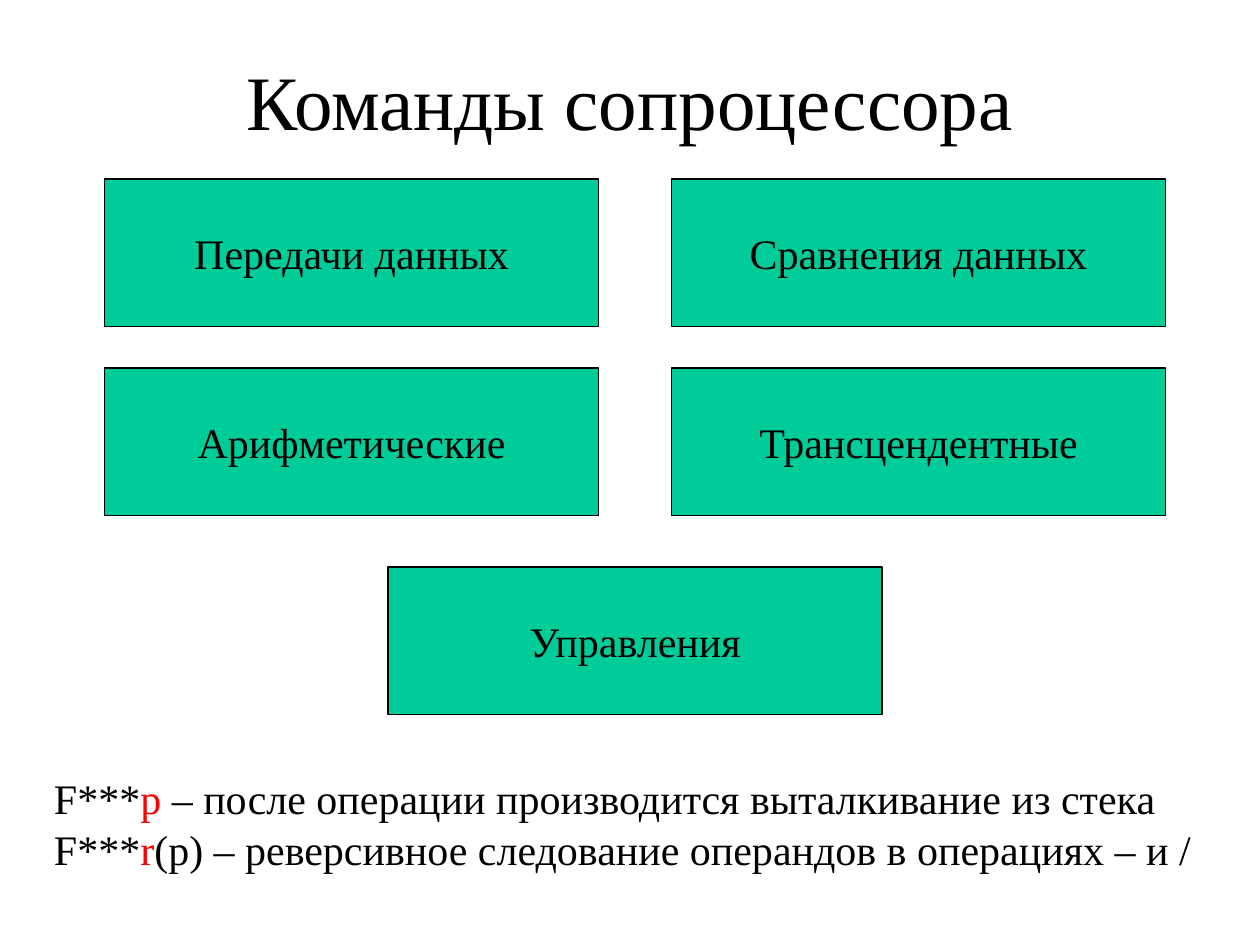
from dataclasses import dataclass
from pptx import Presentation
from pptx.dml.color import RGBColor as RGB
from pptx.enum.shapes import MSO_SHAPE
from pptx.enum.text import MSO_ANCHOR as Anchor, PP_ALIGN as Align
from pptx.util import Inches, Pt


@dataclass(frozen=True)
class Theme:
    font: str = "Times New Roman"
    ink: RGB = RGB(0, 0, 0)
    accent: RGB = RGB(0xFF, 0, 0)
    fill: RGB = RGB(0, 0xCC, 0x99)
    title_size: int = 44
    body_size: int = 24
    note_leading: int = 29


THEME = Theme()


def style(r, size, color=THEME.ink):
    r.font.name = THEME.font
    r.font.size = Pt(size)
    r.font.color.rgb = color


def centre(tf, text, size):
    tf.text = text
    tf.vertical_anchor = Anchor.MIDDLE
    p = tf.paragraphs[0]
    p.alignment = Align.CENTER
    style(p.runs[0], size)


def add_title(slide, left, top, width, height, text):
    sp = slide.shapes.add_textbox(*map(Inches, (left, top, width, height)))
    sp.text_frame.word_wrap = True
    centre(sp.text_frame, text, THEME.title_size)


def add_command(slide, left, top, width, height, text):
    sp = slide.shapes.add_shape(
        MSO_SHAPE.RECTANGLE, *map(Inches, (left, top, width, height)))
    sp.shadow.inherit = False
    sp.fill.solid()
    sp.fill.fore_color.rgb = THEME.fill
    sp.line.color.rgb = THEME.ink
    sp.line.width = Pt(0.75)
    sp.text_frame.word_wrap = False
    centre(sp.text_frame, text, THEME.body_size)


def add_commands(slide, left, top, width, height, pairs, last):
    box_w, box_h, row_step, last_drop = 3.92, 1.17, 1.5, 3.08
    for row, pair in enumerate(pairs):
        for col, text in enumerate(pair):
            add_command(slide, left + col * (width - box_w),
                        top + row * row_step, box_w, box_h, text)
    add_command(slide, left + (width - box_w) / 2, top + last_drop,
                box_w, height - last_drop, last)


def add_notation(slide, left, top, width, height, lines):
    sp = slide.shapes.add_textbox(*map(Inches, (left, top, width, height)))
    tf = sp.text_frame
    tf.word_wrap = True
    p = tf.paragraphs[0]
    p.line_spacing = Pt(THEME.note_leading)
    for i, (prefix, suffix, meaning) in enumerate(lines):
        if i:
            p.add_line_break()
        for text, color in ((prefix, THEME.ink), (suffix, THEME.accent),
                            (meaning, THEME.ink)):
            r = p.add_run()
            r.text = text
            style(r, THEME.body_size, color)


def main():
    prs = Presentation()
    prs.slide_width, prs.slide_height = Inches(10), Inches(7.5)
    slide = prs.slides.add_slide(prs.slide_layouts[6])
    add_title(slide, 0.75, 0.33, 8.5, 0.92, "Команды сопроцессора")
    add_commands(slide, 0.83, 1.42, 8.42, 4.25,
                 [("Передачи данных", "Сравнения данных"),
                  ("Арифметические", "Трансцендентные")],
                 "Управления")
    add_notation(slide, 0.33, 6.08, 9.42, 0.9, [
        ("F***", "p", " – после операции производится выталкивание из стека"),
        ("F***", "r", "(p) – реверсивное следование операндов в операциях – и /"),
    ])
    prs.save("out.pptx")


main()
